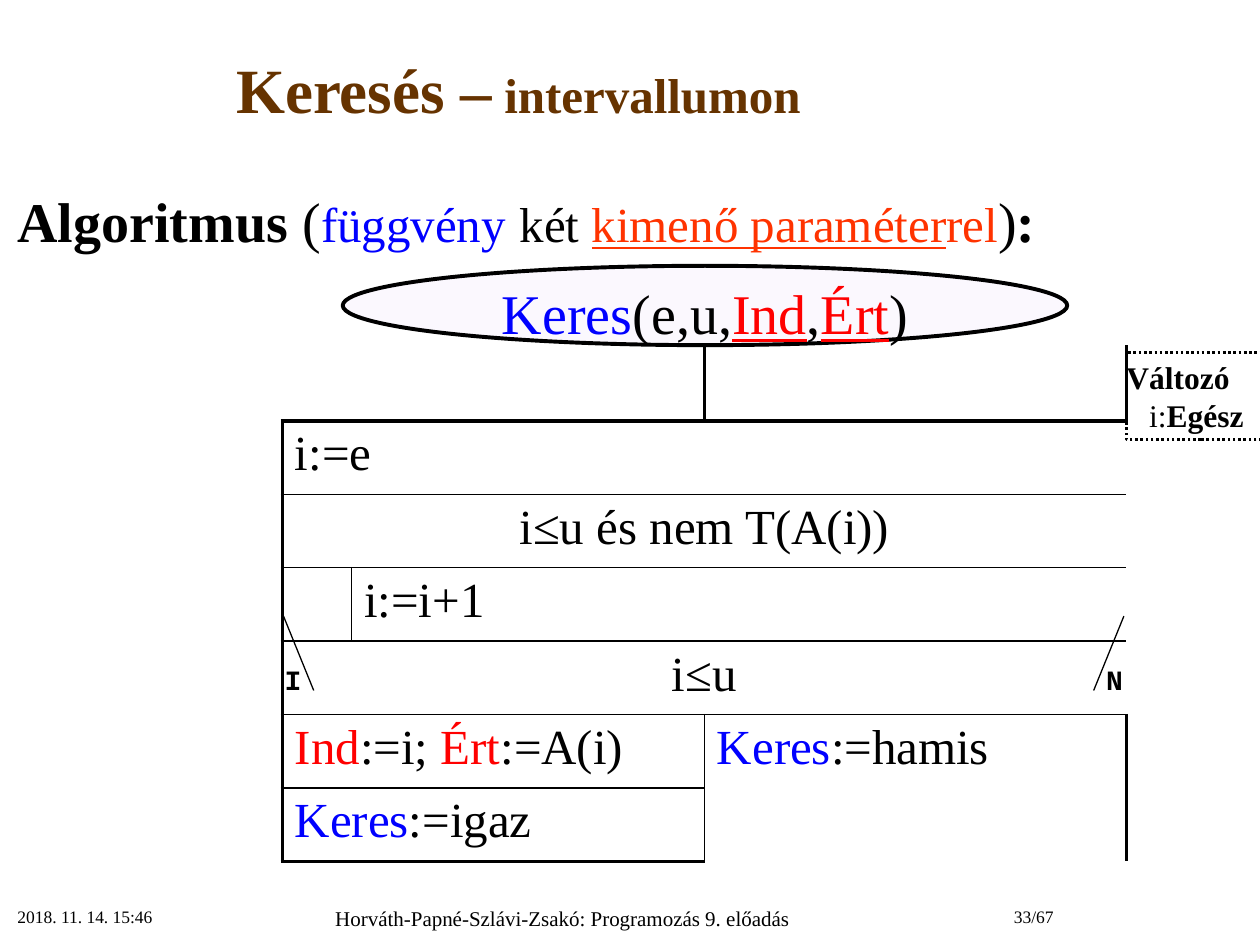
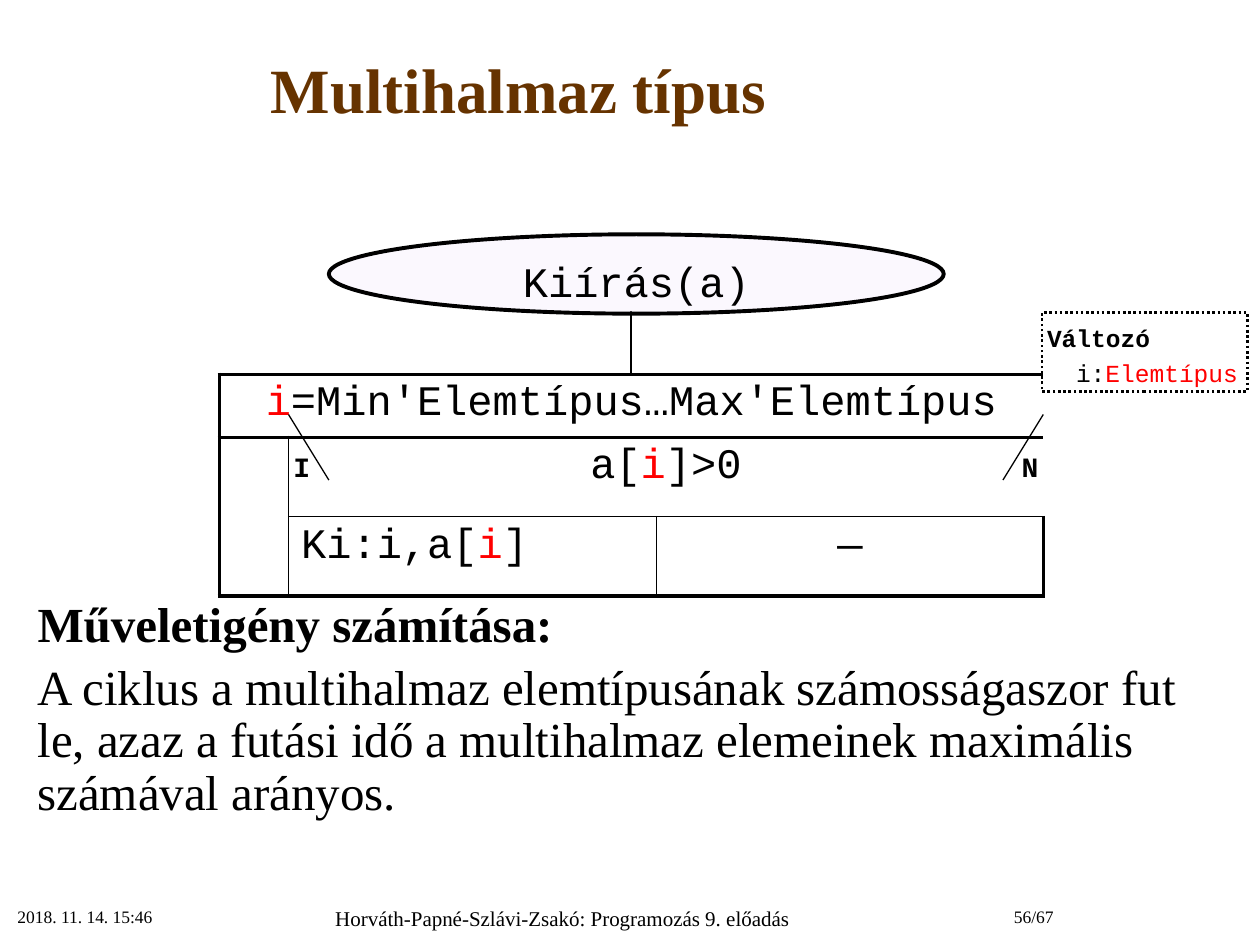
from lxml.etree import SubElement
from pptx import Presentation
from pptx.dml.color import RGBColor
from pptx.enum.dml import MSO_LINE
from pptx.enum.shapes import MSO_CONNECTOR, MSO_SHAPE
from pptx.enum.text import MSO_ANCHOR, PP_ALIGN
from pptx.oxml.ns import qn
from pptx.util import Inches, Pt

COLORS = {
    "ink": "000000",
    "title": "663300",
    "name": "0000FF",
    "output": "FF0000",
    "parameter": "FF3300",
    "oval": "F3E8FE",
}
SERIF = "Times New Roman"
MONO = "Courier New"
ALIGNS = {"left": PP_ALIGN.LEFT, "center": PP_ALIGN.CENTER, "right": PP_ALIGN.RIGHT}
NO_STYLE = "{2D5ABB26-0587-4C30-8999-92F81FD0307C}"
THICK, THIN, SLANT = 2.25, 1, 0.75


def rgb(name):
    return RGBColor.from_string(COLORS[name])


# Text
def write(para, text, size=28, font=SERIF, color="ink", bold=False, underline=False):
    span = para.add_run()
    span.text = text
    span.font.size = Pt(size)
    span.font.name = font
    span.font.color.rgb = rgb(color)
    span.font.bold = bold
    span.font.underline = underline


def write_spans(para, spans, align="left", **style):
    """Each span is a text, or a pair of a text and its own format."""
    para.alignment = ALIGNS[align]
    for span in spans:
        text, own = (span, {}) if isinstance(span, str) else span
        write(para, text, **{**style, **own})


def add_text(slide, box, spans, anchor=MSO_ANCHOR.TOP, **style):
    frame = slide.shapes.add_textbox(*map(Inches, box)).text_frame
    frame.word_wrap = True
    frame.vertical_anchor = anchor
    write_spans(frame.paragraphs[0], spans, **style)
    return frame


# Title and footers shared by the slides
def add_frame(slide, title, number):
    add_text(slide, (0, 0.09, 8.23, 1.22), title, MSO_ANCHOR.MIDDLE,
             align="center", size=36, color="title", bold=True)
    add_text(slide, (0.04, 7.14, 2.08, 0.36), ["2018. 11. 14. 15:46"], size=10)
    add_text(slide, (2.12, 7.14, 4.69, 0.36),
             ["Horváth-Papné-Szlávi-Zsakó: Programozás 9. előadás"],
             align="center", size=12)
    add_text(slide, (7.19, 7.14, 1.27, 0.36), [f"{number}/67"], align="right", size=10)


def add_outlined(slide, kind, box, weight):
    shape = slide.shapes.add_shape(kind, *map(Inches, box))
    shape.shadow.inherit = False
    shape.line.color.rgb = rgb("ink")
    shape.line.width = Pt(weight)
    return shape


# Oval with the name of the procedure
def add_header_oval(slide, box, spans, **style):
    oval = add_outlined(slide, MSO_SHAPE.OVAL, box, THICK)
    oval.fill.solid()
    oval.fill.fore_color.rgb = rgb("oval")
    tint = oval.fill._xPr.find(qn("a:solidFill"))[0]
    SubElement(tint, qn("a:alpha")).set("val", "30000")
    frame = oval.text_frame
    frame.word_wrap = False
    frame.margin_top = Inches(0.15)
    frame.vertical_anchor = MSO_ANCHOR.MIDDLE
    write_spans(frame.paragraphs[0], spans, align="center", **style)


# Dotted box with the local variables
def add_variables(slide, box, declaration, inset, indent, spacing=None, **style):
    note = add_outlined(slide, MSO_SHAPE.RECTANGLE, box, 1.5)
    note.fill.background()
    note.line.dash_style = MSO_LINE.ROUND_DOT
    frame = note.text_frame
    frame.word_wrap = True
    frame.vertical_anchor = MSO_ANCHOR.TOP
    frame.margin_left, frame.margin_right = Inches(inset), 0
    frame.margin_top = frame.margin_bottom = Inches(0.04)
    head, body = frame.paragraphs[0], frame.add_paragraph()
    body._p.get_or_add_pPr().set("marL", str(Inches(indent)))
    for para in (head, body):
        para.line_spacing = spacing
    write_spans(head, [("Változó", {"bold": True})], **style)
    write_spans(body, declaration, **style)


# Structogram
def add_border(cell, side, weight):
    line = SubElement(cell._tc.get_or_add_tcPr(), qn(f"a:ln{side}"), w=str(Pt(weight)))
    fill = SubElement(line, qn("a:solidFill"))
    SubElement(fill, qn("a:srgbClr"), val=COLORS["ink"])


def add_block(table, row, col, rows=1, cols=1, spans=(), edges="LRTB",
              stem=THIN, **style):
    """Fill a block of cells; edges on the rim of the structogram are thick."""
    bottom, right = row + rows - 1, col + cols - 1
    last_row, last_col = len(table.rows) - 1, len(table.columns) - 1
    for r in range(row, bottom + 1):
        for c in range(col, right + 1):
            cell = table.cell(r, c)
            sides = {
                "L": (c == col, c == 0),
                "R": (c == right, c == last_col),
                "T": (r == row, r == 1),
                "B": (r == bottom, r in (0, last_row)),
            }
            for side, (at_end, on_rim) in sides.items():
                if at_end and side in edges:
                    add_border(cell, side, THICK if on_rim else stem)
            cell.fill.background()
    first = table.cell(row, col)
    if rows * cols > 1:
        first.merge(table.cell(bottom, right))
    write_spans(first.text_frame.paragraphs[0], spans, **style)


def add_structogram(slide, left, top, widths, heights, blocks, stem, **style):
    """The first row holds the stem that comes down from the oval."""
    box = (left, top, sum(widths), sum(heights))
    table = slide.shapes.add_table(len(heights), len(widths),
                                   *map(Inches, box)).table
    table.first_row = table.horz_banding = False
    table._tbl.tblPr.find(qn("a:tableStyleId")).text = NO_STYLE
    for column, width in zip(table.columns, widths):
        column.width = Inches(width)
    for row, height in zip(table.rows, heights):
        row.height = Inches(height)
    add_block(table, 0, 0, cols=2, edges="")
    add_block(table, 0, 2, cols=len(widths) - 2, edges="LB", stem=stem)
    for block in blocks:
        add_block(table, **{**style, **block})


# Slanted corners and letters of a yes/no branch
def add_branch(slide, left, right, top, run, height, labels):
    for x, step in ((left, run), (right, -run)):
        ends = (x, top, x + step, top + height)
        slant = slide.shapes.add_connector(MSO_CONNECTOR.STRAIGHT, *map(Inches, ends))
        slant.line.color.rgb = rgb("ink")
        slant.line.width = Pt(SLANT)
        SubElement(slant._element.spPr, qn("a:effectLst"))
    for letter, x in zip("IN", labels):
        add_text(slide, (x, top + 0.32 - 0.09 * (height < 0.55), 0.32, 0.37),
                 [letter], size=16, font=MONO, bold=True)


def build_search(deck):
    slide = deck.slides.add_slide(deck.slide_layouts[6])
    name, output = {"color": "name"}, {"color": "output"}
    marked = {"color": "output", "underline": True}
    add_frame(slide, ["Keresés –", (" intervallumon", {"size": 28})], 33)

    big, strong = {"size": 32}, {"size": 32, "bold": True}
    intro = add_text(slide, (0.04, 1.47, 9.77, 0.65), [
        ("Algoritmus ", strong), ("(", big), ("függvény", name), (" ", big), "két ",
        ("kimenő paraméter", {"color": "parameter", "underline": True}),
        ("rel", {"color": "parameter"}), (")", big), (":", strong)])
    intro.paragraphs[0].line_spacing = 0.95

    add_header_oval(slide, (2.72, 2.11, 5.75, 0.63), [
        ("Keres", name), "(e,u,", ("Ind", marked), ",", ("Ért", marked), ")"], size=32)
    blocks = [
        dict(row=1, col=0, cols=3, spans=["i:=e"]),
        dict(row=2, col=0, cols=3, spans=["i≤u és nem T(A(i))"],
             align="center", edges="LRT"),
        dict(row=3, col=0, edges="LRB"),
        dict(row=3, col=1, cols=2, spans=["i:=i+1"]),
        dict(row=4, col=0, cols=3, spans=["i≤u"], align="center"),
        dict(row=5, col=0, cols=2,
             spans=[("Ind", output), ":=i; ", ("Ért", output), ":=A(i)"]),
        dict(row=5, col=2, rows=2, spans=[("Keres", name), ":=hamis"]),
        dict(row=6, col=0, cols=2, spans=[("Keres", name), ":=igaz"]),
    ]
    add_structogram(slide, 2.24, 2.74, [0.55, 2.8, 3.35], [0.6] + [0.583] * 6,
                    blocks, THICK)
    add_branch(slide, 2.25, 8.92, 4.89, 0.24, 0.59, (2.16, 8.68))
    add_variables(slide, (8.94, 2.8, 1.18, 0.69), ["i:", ("Egész", {"bold": True})],
                  inset=0, indent=0.18, size=18)


def build_multiset(deck):
    slide = deck.slides.add_slide(deck.slide_layouts[6])
    index = ("i", {"color": "output"})
    add_frame(slide, ["Multihalmaz típus"], 56)

    cost = add_text(slide, (0.2, 4.66, 9.5, 1.98), ["Műveletigény számítása:"], bold=True)
    para = cost.add_paragraph()
    para.line_spacing, para.space_before = Pt(30), Pt(6)
    write_spans(para, ["A ciklus a multihalmaz elemtípusának számosságaszor fut le, azaz "
                       "a futási idő a multihalmaz elemeinek maximális számával arányos."])

    blocks = [
        dict(row=1, col=0, cols=4, spans=[index, "=Min'Elemtípus…Max'Elemtípus"],
             edges="LRT"),
        dict(row=2, col=0, edges="LR"),
        dict(row=2, col=1, cols=3, spans=["a[", index, "]>0"]),
        dict(row=3, col=0, edges="LRB"),
        dict(row=3, col=1, cols=2, spans=["Ki:i,a[", index, "]"], align="left"),
        dict(row=3, col=3, spans=["―"]),
    ]
    add_structogram(slide, 1.74, 2.47, [0.55, 2.72, 0.2, 3.07], [0.5, 0.5, 0.63, 0.63],
                    blocks, THIN, size=24, font=MONO, align="center")
    add_header_oval(slide, (2.61, 1.86, 4.88, 0.63), ["Kiírás(a)"], size=24, font=MONO)
    add_branch(slide, 2.29, 8.28, 3.29, 0.32, 0.52, (2.23, 8.01))
    add_variables(slide, (8.27, 2.48, 1.63, 0.63),
                  ["i:", ("Elemtípus", {"color": "output"})],
                  inset=0.04, indent=0.23, spacing=Pt(20), size=14, font=MONO)


def main():
    deck = Presentation()
    deck.slide_width, deck.slide_height = Inches(10), Inches(7.5)
    build_search(deck)
    build_multiset(deck)
    deck.save("out.pptx")


if __name__ == "__main__":
    main()
